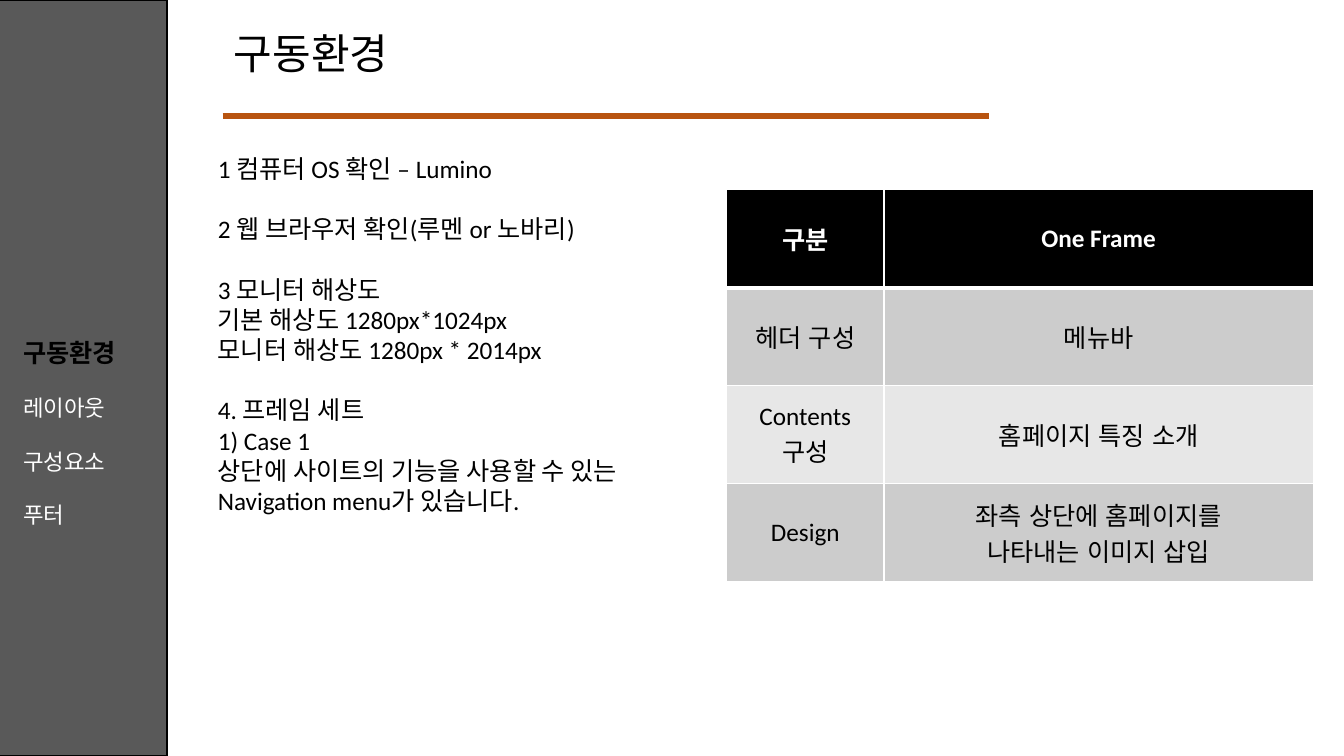
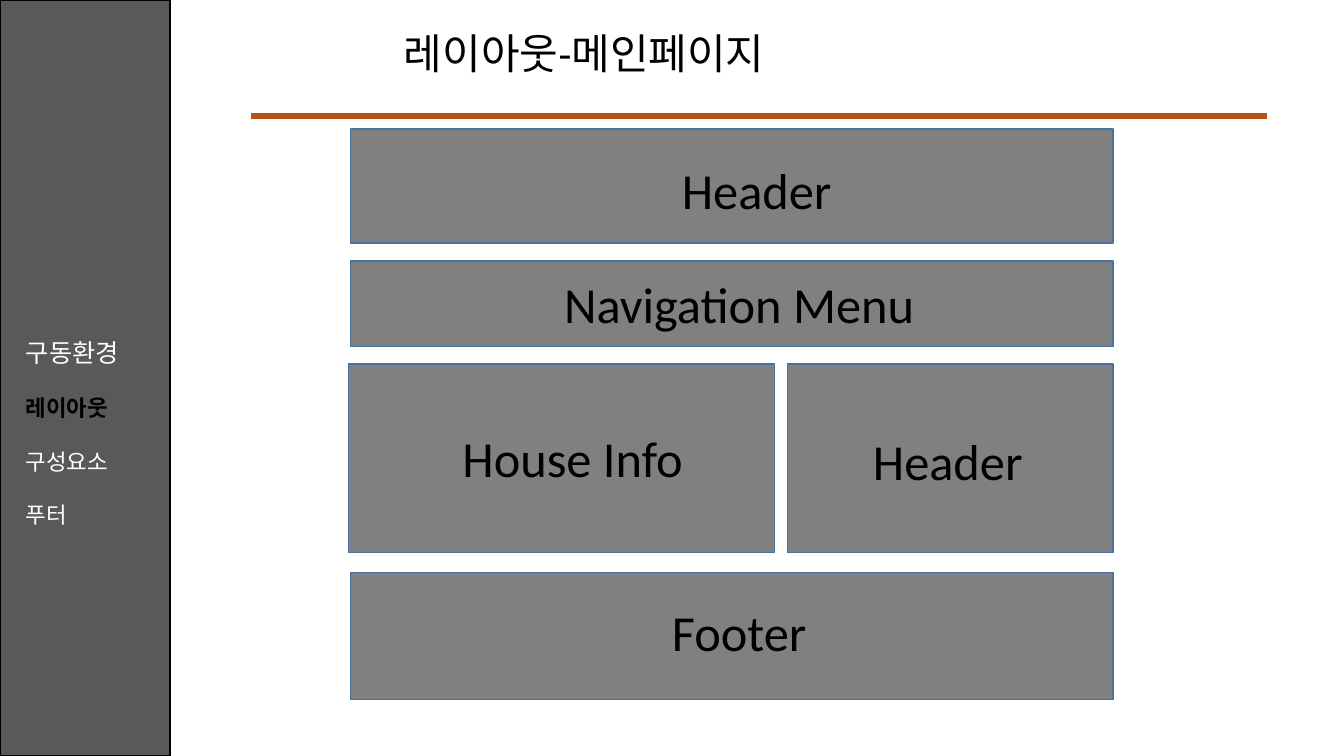
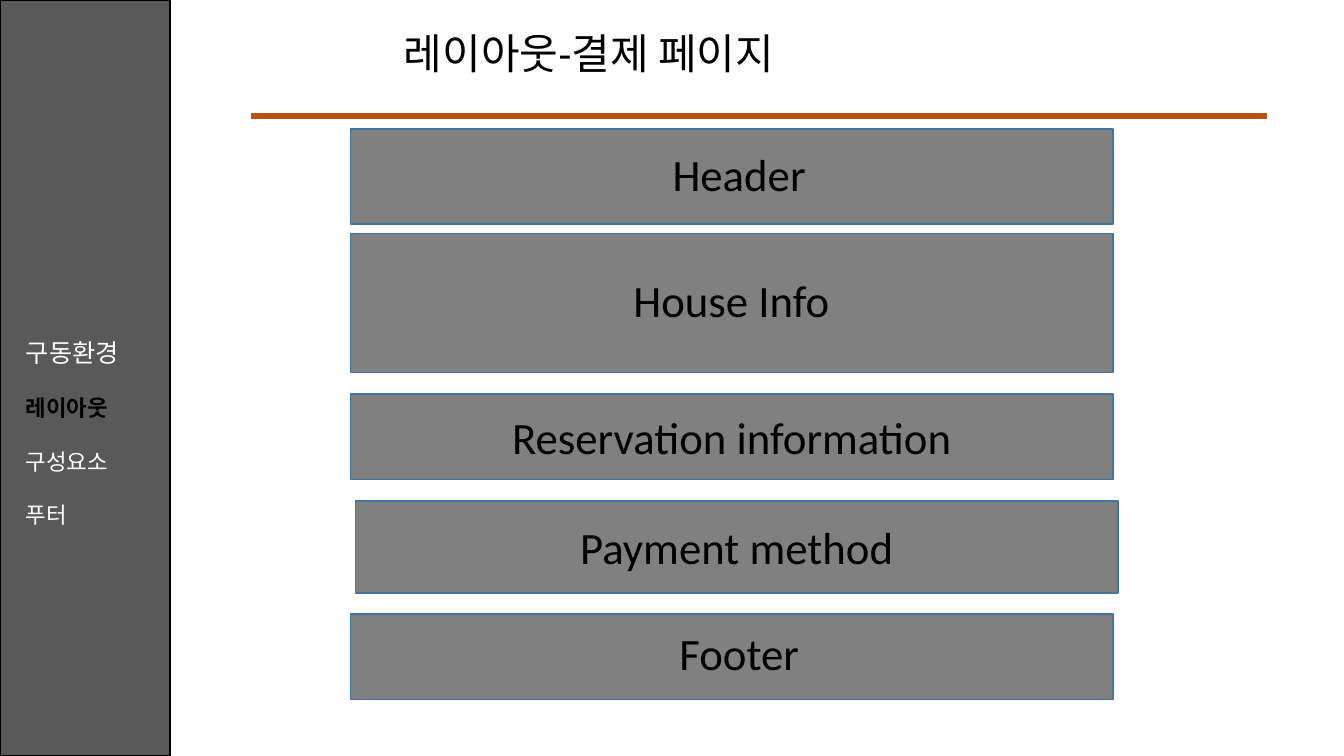
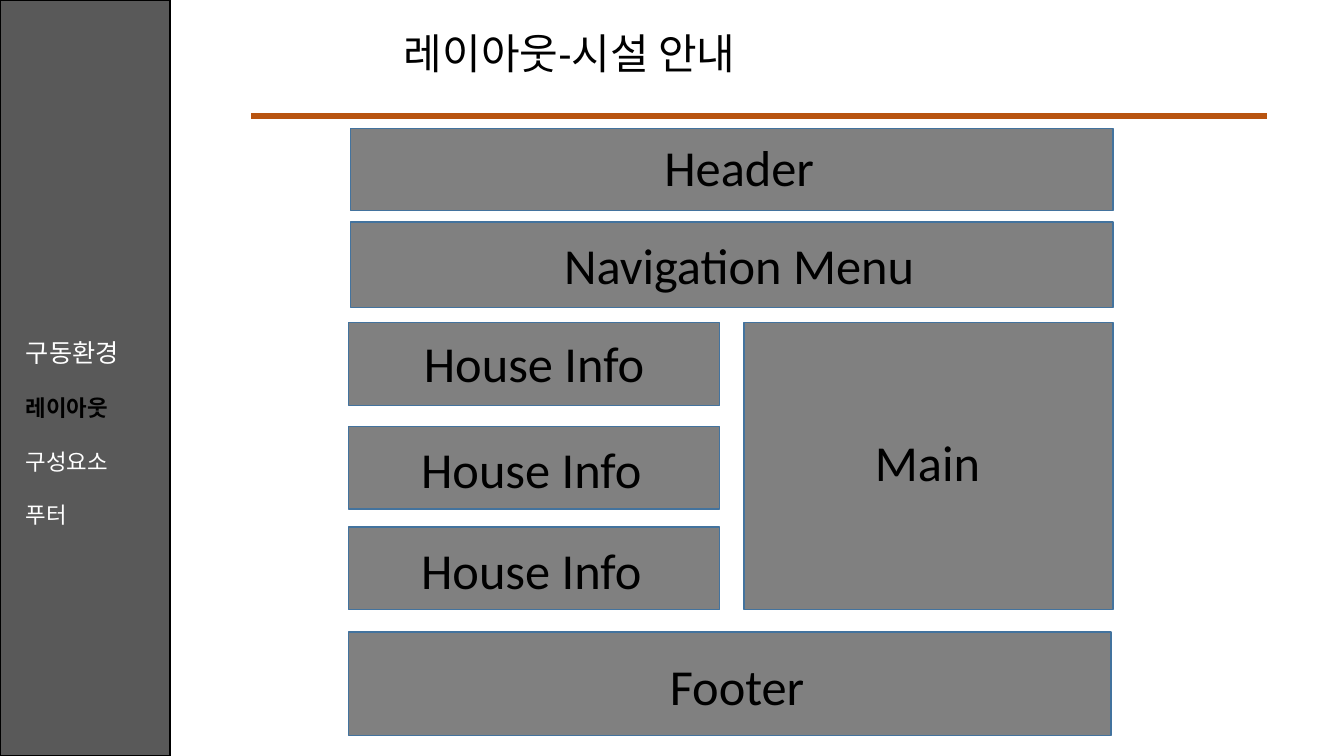
from lxml.etree import SubElement
from pptx import Presentation
from pptx.dml.color import RGBColor
from pptx.enum.lang import MSO_LANGUAGE_ID
from pptx.enum.shapes import MSO_CONNECTOR, MSO_SHAPE
from pptx.enum.text import MSO_ANCHOR, PP_ALIGN
from pptx.oxml.ns import qn
from pptx.util import Pt

FONT = "Calibri"
BLACK = RGBColor(0x00, 0x00, 0x00)
WHITE = RGBColor(0xFF, 0xFF, 0xFF)
SIDEBAR_GRAY = RGBColor(0x59, 0x59, 0x59)
RULE_ORANGE = RGBColor(0xB8, 0x54, 0x10)
BLOCK_GRAY = RGBColor(0x80, 0x80, 0x80)
BLOCK_EDGE = RGBColor(0x43, 0x73, 0x9E)
ROW_DARK = RGBColor(0xCC, 0xCC, 0xCC)
ROW_LIGHT = RGBColor(0xE7, 0xE7, 0xE7)

SECTIONS = ["구동환경", "레이아웃", "구성요소", "푸터"]

# Groups of lines; a gap opens before each group but the first.
ENVIRONMENT = [
    ["1 컴퓨터 OS 확인 – Lumino"],
    ["2 웹 브라우저 확인(루멘 or 노바리)"],
    ["3 모니터 해상도", "기본 해상도 1280px*1024px", "모니터 해상도 1280px * 2014px"],
    ["4. 프레임 세트", "1) Case 1",
     "상단에 사이트의 기능을 사용할 수 있는 Navigation menu가 있습니다."],
]
FRAME_ROWS = [
    ("구분", "One Frame"),
    ("헤더 구성", "메뉴바"),
    ("Contents\n구성", "홈페이지 특징 소개"),
    ("Design", "좌측 상단에 홈페이지를\n나타내는 이미지 삽입"),
]

# Wireframe grid
LEFT, FULL = 250.5, 544.5
INNER_LEFT = 249
CAPTION_LEFT, CAPTION_WIDTH = 281.5, 493
HOUSE_WIDTH, HOUSE_CAPTION_WIDTH = 265, 429

# Each block: text, (left, top, width, height), caption (left, top, width);
# without a caption place the text is centred in the block itself.
MAIN_PAGE = [
    ("Header", (LEFT, 92, FULL, 81.5), (294, 110, CAPTION_WIDTH)),
    ("Navigation Menu", (LEFT, 186.5, FULL, 61), (CAPTION_LEFT, 191.5, CAPTION_WIDTH)),
    ("House Info", (INNER_LEFT, 260, 304.5, 134.5), (162.5, 301.5, CAPTION_WIDTH)),
    ("Header", (562.5, 260, 232.5, 134.5), (430.5, 304, CAPTION_WIDTH)),
    ("Footer", (LEFT, 409, FULL, 90.5), (CAPTION_LEFT, 425.5, CAPTION_WIDTH)),
]
PAYMENT_PAGE = [
    ("Header", (LEFT, 92, FULL, 68), (CAPTION_LEFT, 101, CAPTION_WIDTH)),
    ("House Info", (LEFT, 167, FULL, 99), (346, 191.5, 353)),
    ("Reservation information", (LEFT, 281.5, FULL, 61), None),
    ("Payment method", (254, 358, FULL, 65.5), None),
    ("Footer", (LEFT, 438.5, FULL, 61), (CAPTION_LEFT, 443.5, CAPTION_WIDTH)),
]
FACILITY_PAGE = [
    ("Header", (LEFT, 92, FULL, 58.5), (CAPTION_LEFT, 93.5, CAPTION_WIDTH)),
    ("Navigation Menu", (LEFT, 158.5, FULL, 61), (CAPTION_LEFT, 163.5, CAPTION_WIDTH)),
    ("Main", (531.5, 230.5, 263.5, 205), (416, 304.5, CAPTION_WIDTH)),
    ("Footer", (INNER_LEFT, 451.5, FULL, 74), (280, 464.5, CAPTION_WIDTH)),
] + [
    ("House Info", (INNER_LEFT, top, HOUSE_WIDTH, 59),
     (caption_left, caption_top, HOUSE_CAPTION_WIDTH))
    for top, caption_left, caption_top in
    [(230.5, 167, 233.5), (304.5, 165, 309.5), (376.5, 165, 381.5)]
]


def points(values):
    return [Pt(value) for value in values]


def write(paragraph, text, size=18, color=BLACK, bold=False,
          align=PP_ALIGN.LEFT, gap=0, east_asian=FONT):
    paragraph.alignment = align
    paragraph.space_before = Pt(gap)
    run = paragraph.add_run()
    run.text = text
    font = run.font
    font.name, font.size, font.bold = FONT, Pt(size), bold
    font.color.rgb = color
    font.language_id = MSO_LANGUAGE_ID.KOREAN
    if east_asian:
        SubElement(run._r.get_or_add_rPr(), qn("a:ea"), typeface=east_asian)


def next_paragraph(frame, index):
    return frame.add_paragraph() if index else frame.paragraphs[0]


def add_text_frame(slide, *place):
    frame = slide.shapes.add_textbox(*points(place)).text_frame
    frame.word_wrap = True
    return frame


def add_box(slide, place, fill, edge):
    box = slide.shapes.add_shape(MSO_SHAPE.RECTANGLE, *points(place))
    box.shadow.inherit = False
    box.fill.solid()
    box.fill.fore_color.rgb = fill
    box.line.color.rgb = edge
    box.line.width = Pt(1)
    return box


def add_rule(slide, start, end):
    height = 83
    rule = slide.shapes.add_connector(
        MSO_CONNECTOR.STRAIGHT, *points((start, height, end, height)))
    rule.line.color.rgb = RULE_ORANGE
    rule.line.width = Pt(4.5)
    SubElement(rule._element.spPr, qn("a:effectLst"))


def add_sidebar(slide, current, left, text_left):
    add_box(slide, (left, 0, 121.5, 540), SIDEBAR_GRAY, BLACK)
    menu = add_text_frame(slide, text_left, 237.5, 130, 145)
    for index, section in enumerate(SECTIONS):
        active = section == current
        write(next_paragraph(menu, index), section, size=16 if index else 18,
              color=BLACK if active else WHITE, bold=active,
              gap=19 if index else 0)


def add_page(deck, section, title, title_left=281.5, rule=(179.5, 905),
             sidebar_left=0, menu_left=11.5):
    """Add a slide with the sidebar, the title and the rule below it."""
    slide = deck.slides.add_slide(deck.slide_layouts[6])
    add_sidebar(slide, section, sidebar_left, menu_left)
    add_rule(slide, *rule)
    heading = add_text_frame(slide, title_left, 16, 576, 44)
    write(heading.paragraphs[0], title, size=30)
    return slide


def add_environment_list(slide):
    frame = add_text_frame(slide, 148.5, 106, 360, 269)
    lines = [(line, 21.5 if group and not position else 0)
             for group, members in enumerate(ENVIRONMENT)
             for position, line in enumerate(members)]
    for index, (line, gap) in enumerate(lines):
        write(next_paragraph(frame, index), line, gap=gap)


def set_cell_edge(cell, side, width):
    """Draw a white border on one side; call it before setting the fill."""
    edge = SubElement(cell._tc.get_or_add_tcPr(), qn(f"a:ln{side}"),
                      w=str(Pt(width)))
    fill = SubElement(edge, qn("a:solidFill"))
    SubElement(fill, qn("a:srgbClr"), val=str(WHITE))


def add_frame_table(slide):
    widths = (112.5, 306.5)
    row_height = 70
    table = slide.shapes.add_table(
        len(FRAME_ROWS), len(widths),
        *points((519, 135.5, sum(widths), row_height * len(FRAME_ROWS)))).table
    for column, width in zip(table.columns, widths):
        column.width = Pt(width)
    for row_index, texts in enumerate(FRAME_ROWS):
        header = row_index == 0
        fill = BLACK if header else ROW_DARK if row_index % 2 else ROW_LIGHT
        for cell, text in zip(table.rows[row_index].cells, texts):
            for side in "LRTB":
                thick = (row_index, side) in [(0, "B"), (1, "T")]
                set_cell_edge(cell, side, 3 if thick else 1)
            cell.fill.solid()
            cell.fill.fore_color.rgb = fill
            cell.vertical_anchor = MSO_ANCHOR.MIDDLE
            for index, line in enumerate(text.split("\n")):
                write(next_paragraph(cell.text_frame, index), line, bold=header,
                      color=WHITE if header else BLACK,
                      align=PP_ALIGN.CENTER, east_asian=None)


def add_wireframe(slide, blocks, size):
    for text, place, caption in blocks:
        frame = add_box(slide, place, BLOCK_GRAY, BLOCK_EDGE).text_frame
        frame.vertical_anchor = MSO_ANCHOR.MIDDLE
        if caption:
            frame = add_text_frame(slide, *caption, size * 1.2 + 7)
        write(frame.paragraphs[0], text, size=size, align=PP_ALIGN.CENTER)


def main():
    deck = Presentation()
    deck.slide_width, deck.slide_height = Pt(960), Pt(540)

    environment = add_page(deck, "구동환경", "구동환경", title_left=160,
                           rule=(159, 706.5), sidebar_left=-2, menu_left=9.5)
    add_environment_list(environment)
    add_frame_table(environment)

    for title, blocks, size in [
        ("레이아웃-메인페이지", MAIN_PAGE, 36),
        ("레이아웃-결제 페이지", PAYMENT_PAGE, 32),
        ("레이아웃-시설 안내", FACILITY_PAGE, 36),
    ]:
        add_wireframe(add_page(deck, "레이아웃", title), blocks, size)

    deck.save("out.pptx")


if __name__ == "__main__":
    main()
